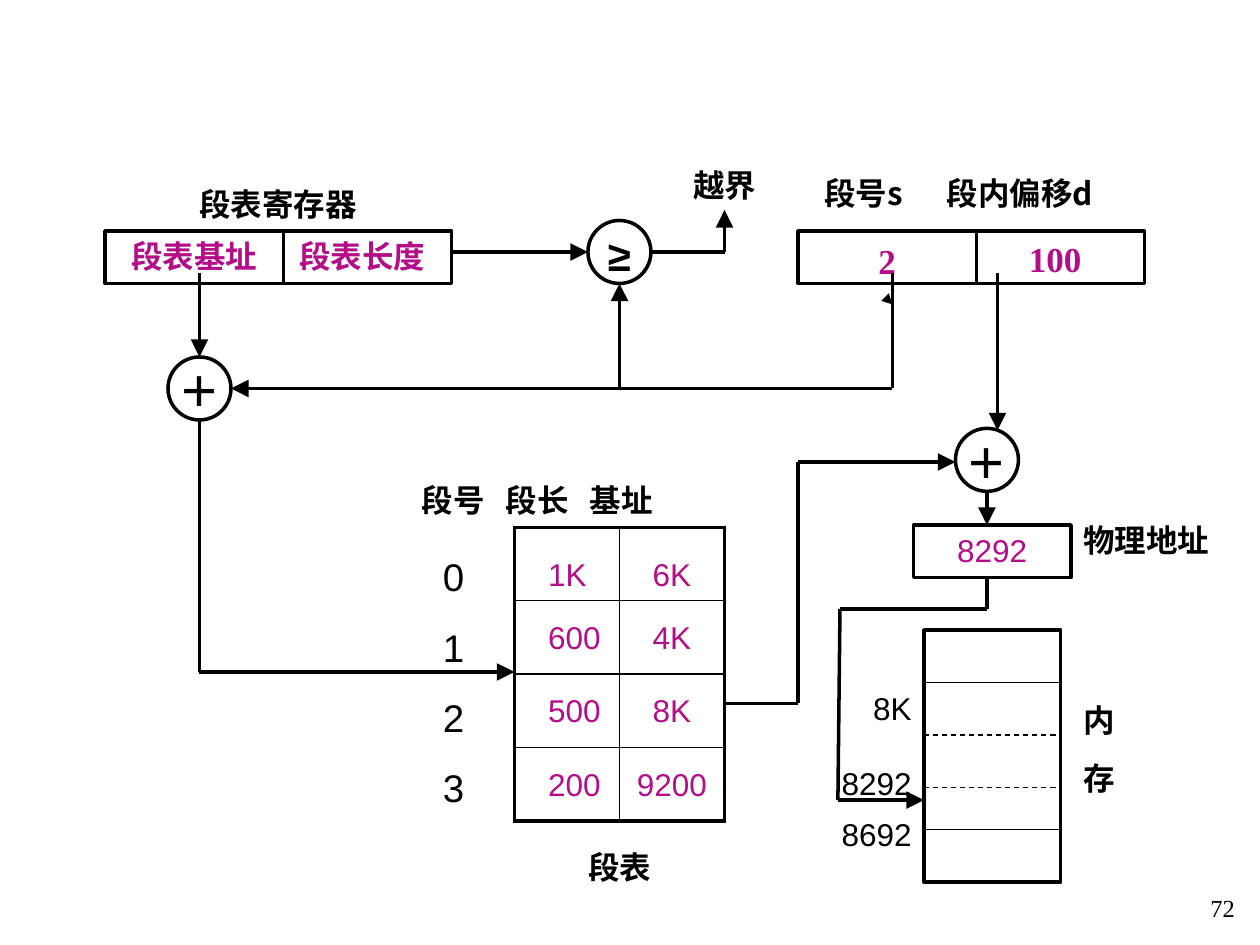
from itertools import pairwise
from lxml import etree
from pptx import Presentation, util as u
from pptx.dml.color import RGBColor
from pptx.enum import dml, shapes, text
from pptx.oxml.ns import qn

PX = 7620
BLACK, MAGENTA = "000000", "B30D88"
SANS, CJK, SERIF = "Arial", "Noto Sans CJK SC", "Times New Roman"
LEFT, CENTER, RIGHT = text.PP_ALIGN.LEFT, text.PP_ALIGN.CENTER, text.PP_ALIGN.RIGHT

heading = dict(font=CJK, bold=True)
key = dict(heading, color=MAGENTA, align=CENTER)
number = dict(font=SERIF, size=20, bold=True, color=MAGENTA, align=CENTER)
address = dict(align=RIGHT)
labels = [
    ("段表寄存器", 140, 170, 250, dict(heading, align=CENTER)),
    ("段表基址", 90, 220, 190, key),
    ("段表长度", 250, 220, 190, key),
    ("越界", 610, 152, 160, dict(heading, align=CENTER)),
    ("段号s", 773, 160, 120, heading),
    ("段内偏移d", 890, 160, 200, heading),
    ("2", 750, 222, 190, number),
    ("100", 910, 220, 190, number),
    ("段号", 390, 452, 100, heading),
    ("段长", 470, 452, 100, heading),
    ("基址", 550, 452, 100, heading),
    ("0\n1\n2\n3", 410, 521, 60, dict(size=22, before=13.8, h=257)),
    ("段表", 510, 802, 160, dict(heading, align=CENTER)),
    ("8292", 890, 500, 100, dict(address, color=MAGENTA)),
    ("物理地址", 1020, 490, 160, heading),
    ("8K", 810, 650, 70, address),
    ("8292", 780, 722, 100, address),
    ("8692", 780, 770, 100, address),
    ("内\n存", 1020, 662, 60, dict(heading, before=11.2, h=103)),
    ("72", 1133, 845, 55, dict(font=SERIF, size=14, align=RIGHT, h=53)),
]
boxes = [(100, 220, 330, 50), (760, 220, 330, 50),
         (870, 500, 150, 50), (880, 600, 130, 240)]
operators = [("≥", 560, 210), ("＋", 160, 340), ("＋", 910, 408)]
segments = [("1K", "6K"), ("600", "4K"), ("500", "8K"), ("200", "9200")]
dividers = [(270, 220, 270), (930, 220, 270)]
memory_lines = [(650, False), (700, True), (750, True), (790, False)]
routes = [
    ([(430, 240), (560, 240)], True),
    ([(620, 240), (690, 240), (690, 200)], True),
    ([(190, 260), (190, 340)], True),
    ([(190, 400), (190, 640), (490, 640)], True),
    ([(850, 260), (850, 370), (220, 370)], True),
    ([(590, 370), (590, 270)], True),
    ([(690, 670), (760, 670), (760, 440), (910, 440)], True),
    ([(950, 260), (950, 410)], True),
    ([(940, 470), (940, 500)], True),
    ([(940, 550), (940, 580), (800, 580), (798, 762), (880, 762)], True),
]

prs = Presentation()
prs.slide_width, prs.slide_height = 1200 * PX, 900 * PX
s = prs.slides.add_slide(prs.slide_layouts[6])


def rgb(value):
    return RGBColor.from_string(value)


def write(tf, content, font=SANS, size=18, bold=False, color=BLACK, align=LEFT, before=0):
    for i, line in enumerate(content.split("\n")):
        p = tf.add_paragraph() if i else tf.paragraphs[0]
        p.alignment = align
        p.space_before = u.Pt(before if i else 0)
        r = p.add_run()
        r.text = line
        r.font.name, r.font.size, r.font.bold = font, u.Pt(size), bold
        r.font.color.rgb = rgb(color)
        etree.SubElement(r.font._element, qn("a:ea"), typeface=font)


def label(content, x, y, w, h=None, size=18, **fmt):
    h = h or size * 2 + 12
    tf = s.shapes.add_textbox(x * PX, y * PX, w * PX, h * PX).text_frame
    tf.word_wrap = True
    write(tf, content, size=size, **fmt)


def outline(kind, x, y, w, h):
    sp = s.shapes.add_shape(kind, x * PX, y * PX, w * PX, h * PX)
    sp.shadow.inherit = False
    sp.fill.background()
    sp.line.color.rgb, sp.line.width = rgb(BLACK), u.Pt(2)
    return sp


def line(start, end, width=2, arrow=False, dashed=False):
    c = s.shapes.add_connector(shapes.MSO_CONNECTOR.STRAIGHT,
                               *(v * PX for v in (*start, *end)))
    c.line.color.rgb, c.line.width = rgb(BLACK), u.Pt(width)
    if dashed:
        c.line.dash_style = dml.MSO_LINE.DASH
    if arrow:
        size = "lg" if width > 1 else "med"
        etree.SubElement(c.line._get_or_add_ln(), qn("a:tailEnd"),
                         type="triangle", w=size, len=size)
    etree.SubElement(c._element.spPr, qn("a:effectLst"))


def borders(cell, widths):
    tcPr = cell._tc.get_or_add_tcPr()
    for i, (side, width) in enumerate(zip("LRTB", widths)):
        ln = etree.Element(qn(f"a:ln{side}"), w=str(u.Pt(width)))
        fill = etree.SubElement(ln, qn("a:solidFill"))
        etree.SubElement(fill, qn("a:srgbClr"), val=BLACK)
        tcPr.insert(i, ln)


def segment_table(x, y, col_w, row_h):
    rows, cols = len(segments), len(segments[0])
    table = s.shapes.add_table(rows, cols, x * PX, y * PX,
                               cols * col_w * PX, rows * row_h * PX).table
    table.first_row = table.horz_banding = False
    for i, row in enumerate(segments):
        table.rows[i].height = row_h * PX
        for j, value in enumerate(row):
            cell = table.cell(i, j)
            cell.fill.background()
            cell.vertical_anchor = text.MSO_ANCHOR.MIDDLE
            cell.margin_top = (2 if i else 22) * PX
            cell.margin_bottom = 0
            cell.margin_left = (0 if j else 32) * PX
            cell.margin_right = 0
            write(cell.text_frame, value, color=MAGENTA, align=CENTER if j else LEFT)
            edges = (j == 0, j == cols - 1, i == 0, i == rows - 1)
            borders(cell, [2 if edge else 0.75 for edge in edges])


for box in boxes:
    outline(shapes.MSO_SHAPE.RECTANGLE, *box)
for x, top, bottom in dividers:
    line((x, top), (x, bottom))
for symbol, x, y in operators:
    tf = outline(shapes.MSO_SHAPE.OVAL, x, y, 60, 60).text_frame
    tf.margin_left = tf.margin_right = tf.margin_bottom = 0
    tf.margin_top = 5 * PX
    tf.word_wrap = False
    tf.vertical_anchor = text.MSO_ANCHOR.MIDDLE
    write(tf, symbol, size=24, bold=True, align=CENTER)
segment_table(490, 502, 100, 70)
for y, dashed in memory_lines:
    line((880, y), (1010, y), width=0.75, dashed=dashed)
for args in labels:
    label(*args[:4], **args[4])
for points, arrow in routes:
    legs = list(pairwise(points))
    for i, (start, end) in enumerate(legs):
        line(start, end, arrow=arrow and i == len(legs) - 1)
line((849, 289), (850, 290), width=0.75, arrow=True)

prs.save("out.pptx")
